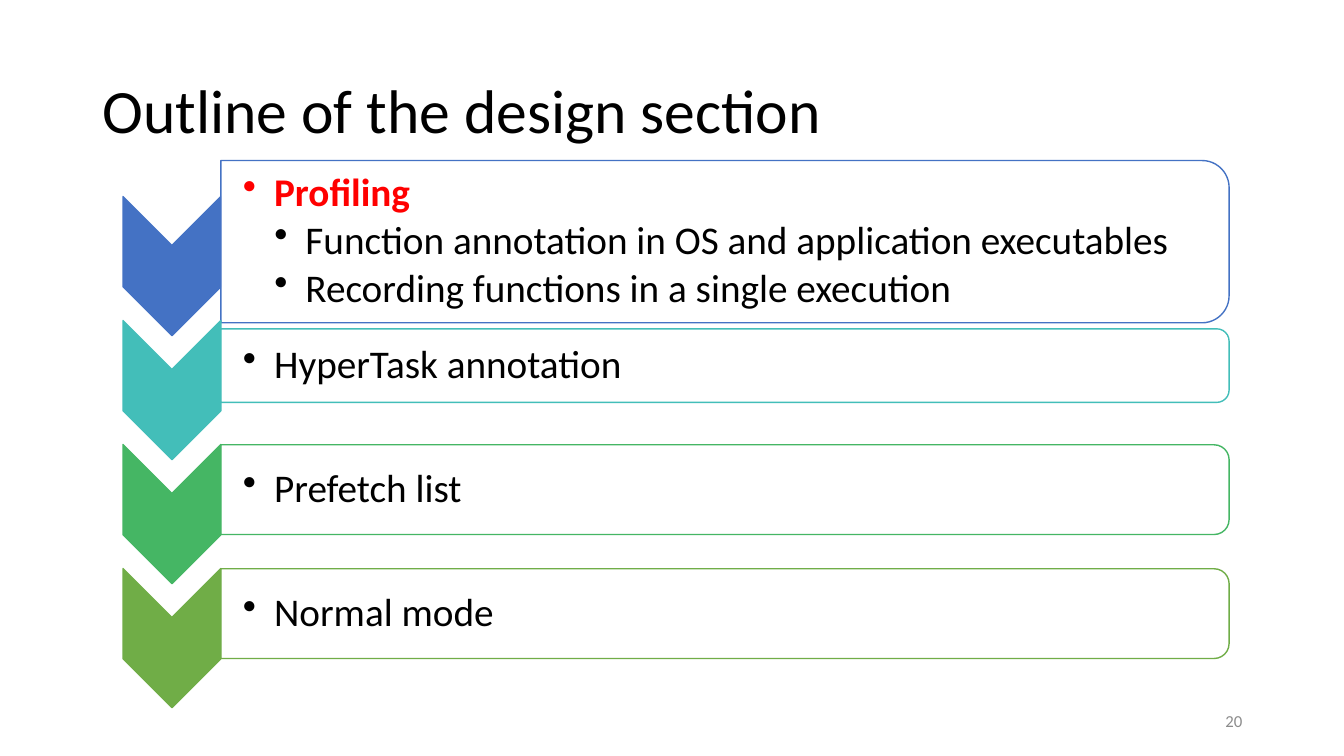
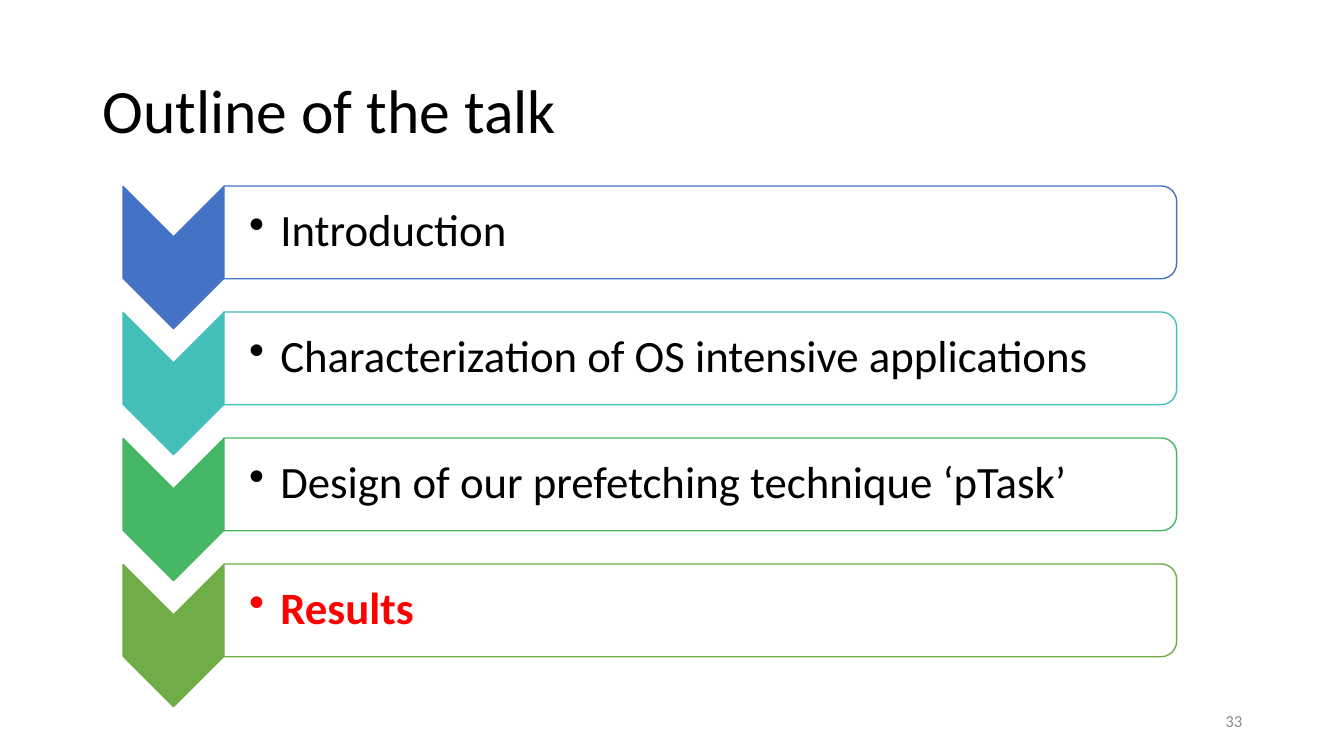
from dataclasses import dataclass

from lxml.etree import SubElement
from pptx import Presentation
from pptx.dml.color import RGBColor
from pptx.enum.shapes import MSO_SHAPE
from pptx.enum.text import MSO_ANCHOR, PP_ALIGN
from pptx.oxml.ns import qn
from pptx.util import Inches, Pt


@dataclass(frozen=True)
class Theme:
    font: str = "Calibri"
    ink: str = "000000"
    muted: str = "8C8C8C"
    highlight: str = "FF0000"
    paper: str = "FFFFFF"
    steps: tuple[str, ...] = ("4472C4", "43BEB9", "45B664", "70AD47")
    title_size: int = 44
    number_size: int = 12
    outline: int = 1
    bar_opacity: int = 90
    line_spacing: float = 0.9
    space_after: int = 15
    bullet_indent: float = 0.31
    corner_inset: float = 0.0488


@dataclass(frozen=True)
class Frame:
    left: float
    top: float
    width: float
    height: float

    def turned(self) -> "Frame":
        shift = (self.width - self.height) / 2
        return Frame(self.left + shift, self.top - shift, self.height, self.width)

    def lengths(self) -> tuple:
        return tuple(Inches(value) for value in (self.left, self.top, self.width, self.height))


@dataclass(frozen=True)
class Item:
    text: str
    level: int = 1
    current: bool = False


@dataclass(frozen=True)
class Step:
    items: tuple[Item, ...]
    bar_height: float


@dataclass(frozen=True)
class Outline:
    title: str
    number: str
    steps: tuple[Step, ...]
    chevron_top: float
    chevron_width: float
    chevron_height: float
    pitch: float
    bar_width: float
    text_size: int
    text_inset: float


THEME = Theme()
CHEVRON_LEFT = 1.22
TITLE_FRAME = Frame(0.92, 0.4, 11.5, 1.45)
NUMBER_FRAME = Frame(9.42, 6.95, 3, 0.4)

OUTLINES = (
    Outline(
        title="Outline of the design section",
        number="20",
        steps=(
            Step(
                (
                    Item("Profiling", current=True),
                    Item("Function annotation in OS and application executables", 2),
                    Item("Recording functions in a single execution", 2),
                ),
                1.61,
            ),
            Step((Item("HyperTask annotation"),), 0.73),
            Step((Item("Prefetch list"),), 0.89),
            Step((Item("Normal mode"),), 0.89),
        ),
        chevron_top=1.95,
        chevron_width=0.97,
        chevron_height=1.38,
        pitch=1.23,
        bar_width=10,
        text_size=28,
        text_inset=0.22,
    ),
    Outline(
        title="Outline of the talk",
        number="33",
        steps=(
            Step((Item("Introduction"),), 0.92),
            Step((Item("Characterization of OS intensive applications"),), 0.92),
            Step((Item("Design of our prefetching technique ‘pTask’"),), 0.92),
            Step((Item("Results", current=True),), 0.92),
        ),
        chevron_top=1.85,
        chevron_width=1,
        chevron_height=1.41,
        pitch=1.25,
        bar_width=9.45,
        text_size=32,
        text_inset=0.25,
    ),
)


def apply(target, values: dict) -> None:
    for name, value in values.items():
        setattr(target, name, value)


def add_text_box(page, frame: Frame, **values):
    text_frame = page.shapes.add_textbox(*frame.lengths()).text_frame
    apply(text_frame, {"word_wrap": True, "vertical_anchor": MSO_ANCHOR.MIDDLE, **values})
    return text_frame


def add_span(para, text: str, size: int, color: str, bold: bool = False) -> None:
    span = para.add_run()
    span.text = text
    apply(span.font, {"name": THEME.font, "size": Pt(size), "bold": bold})
    span.font.color.rgb = RGBColor.from_string(color)


def add_bullet(para, level: int) -> None:
    apply(para, {"level": level, "line_spacing": THEME.line_spacing})
    properties = para._p.get_or_add_pPr()
    properties.set("marL", str(Inches(THEME.bullet_indent * level)))
    properties.set("indent", str(-Inches(THEME.bullet_indent)))
    after = SubElement(properties, qn("a:spcAft"))
    SubElement(after, qn("a:spcPct")).set("val", str(THEME.space_after * 1000))
    SubElement(properties, qn("a:buChar")).set("char", "•")


def add_turned_shape(page, preset: MSO_SHAPE, frame: Frame, fill: str, line: str):
    shape = page.shapes.add_shape(preset, *frame.turned().lengths())
    shape.rotation = 90
    shape.shadow.inherit = False
    shape.fill.solid()
    shape.fill.fore_color.rgb = RGBColor.from_string(fill)
    shape.line.color.rgb = RGBColor.from_string(line)
    shape.line.width = Pt(THEME.outline)
    return shape


def add_bar(page, frame: Frame, color: str) -> None:
    bar = add_turned_shape(page, MSO_SHAPE.ROUND_2_SAME_RECTANGLE, frame, THEME.paper, color)
    fill_color = bar._element.spPr.find(qn("a:solidFill")).find(qn("a:srgbClr"))
    SubElement(fill_color, qn("a:alpha")).set("val", str(THEME.bar_opacity * 1000))


def add_items(page, bar: Frame, items: tuple[Item, ...], outline: Outline) -> None:
    inset = bar.height * THEME.corner_inset
    frame = Frame(bar.left, bar.top + inset, bar.width - inset, bar.height - 2 * inset)
    margin = Inches(0.02)
    box = add_text_box(
        page,
        frame,
        margin_left=Inches(outline.text_inset),
        margin_top=margin,
        margin_right=margin,
        margin_bottom=margin,
    )
    for index, item in enumerate(items):
        para = box.add_paragraph() if index else box.paragraphs[0]
        add_bullet(para, item.level)
        color = THEME.highlight if item.current else THEME.ink
        add_span(para, item.text, outline.text_size, color, item.current)


def add_step(page, outline: Outline, index: int) -> None:
    step, color = outline.steps[index], THEME.steps[index]
    top = outline.chevron_top + index * outline.pitch
    chevron = Frame(CHEVRON_LEFT, top, outline.chevron_width, outline.chevron_height)
    add_turned_shape(page, MSO_SHAPE.CHEVRON, chevron, color, color)
    center = top + (outline.chevron_height - outline.chevron_width / 2) / 2
    bar_left = CHEVRON_LEFT + outline.chevron_width
    bar = Frame(bar_left, center - step.bar_height / 2, outline.bar_width, step.bar_height)
    add_bar(page, bar, color)
    add_items(page, bar, step.items, outline)


def add_outline(deck, outline: Outline) -> None:
    page = deck.slides.add_slide(deck.slide_layouts[6])
    title = add_text_box(page, TITLE_FRAME).paragraphs[0]
    title.line_spacing = THEME.line_spacing
    add_span(title, outline.title, THEME.title_size, THEME.ink)
    number = add_text_box(page, NUMBER_FRAME).paragraphs[0]
    number.alignment = PP_ALIGN.RIGHT
    add_span(number, outline.number, THEME.number_size, THEME.muted)
    for index in range(len(outline.steps)):
        add_step(page, outline, index)


def main() -> None:
    deck = Presentation()
    apply(deck, {"slide_width": Inches(13.33), "slide_height": Inches(7.5)})
    for outline in OUTLINES:
        add_outline(deck, outline)
    deck.save("out.pptx")


if __name__ == "__main__":
    main()
